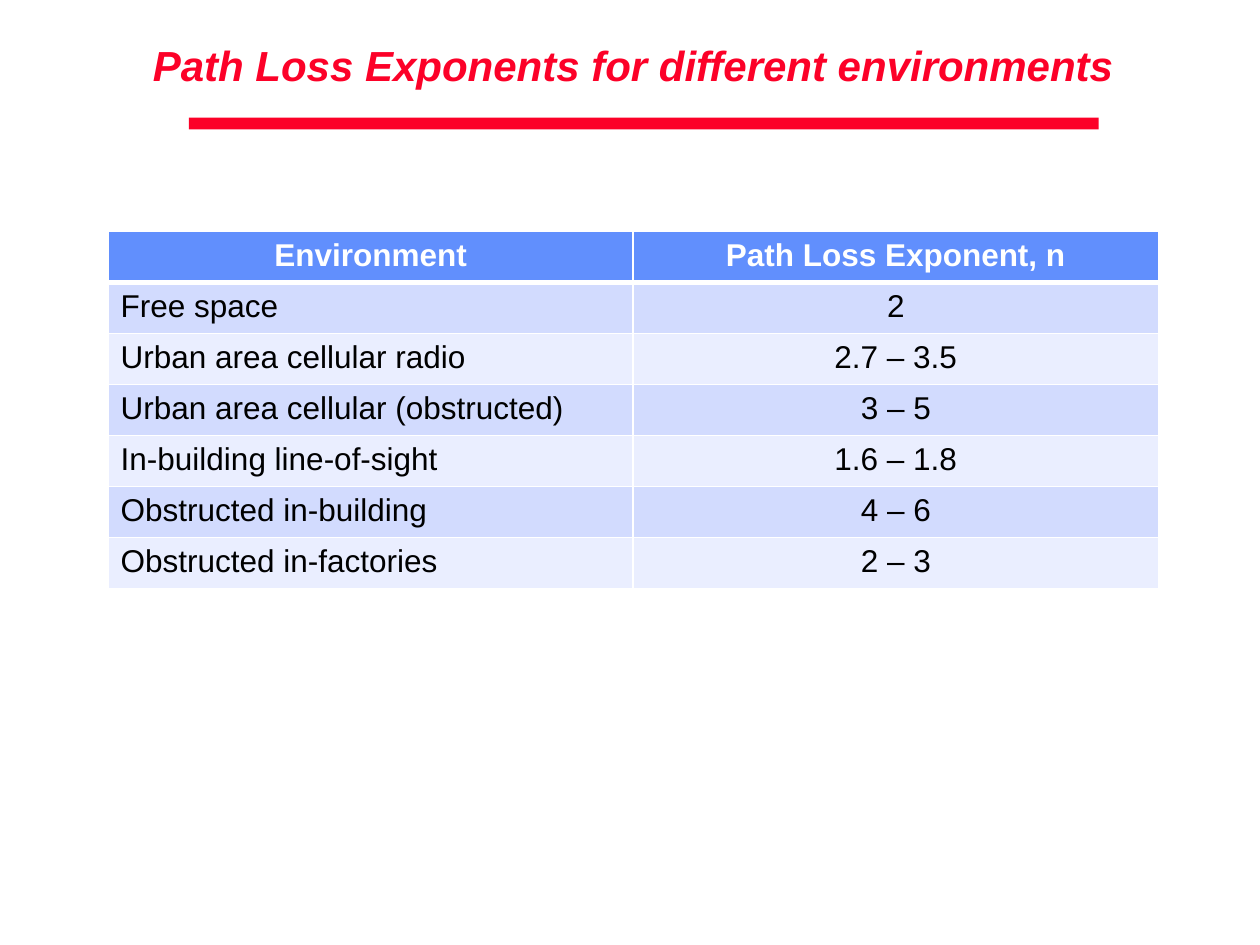
from dataclasses import dataclass

from lxml.etree import SubElement
from pptx import Presentation
from pptx.dml.color import RGBColor
from pptx.enum.shapes import MSO_SHAPE
from pptx.enum.text import MSO_ANCHOR, PP_ALIGN
from pptx.oxml.ns import qn
from pptx.util import Cm, Pt


@dataclass(frozen=True)
class Theme:
    font: str = "Arial"
    title_size: Pt = Pt(24)
    table_size: Pt = Pt(18)
    accent: RGBColor = RGBColor(0xFC, 0x01, 0x28)
    header: RGBColor = RGBColor(0x61, 0x8F, 0xFD)
    bands: tuple = (RGBColor(0xD2, 0xDB, 0xFE), RGBColor(0xEA, 0xEE, 0xFF))
    white: RGBColor = RGBColor(0xFF, 0xFF, 0xFF)
    black: RGBColor = RGBColor(0, 0, 0)


theme = Theme()


def style_font(font, size, color, bold=False, italic=False):
    font.name, font.size = theme.font, size
    font.bold, font.italic = bold, italic
    font.color.rgb = color


def add_borders(cell, widths):
    """Draw white borders; must run before the cell is filled."""
    properties = cell._tc.get_or_add_tcPr()
    for side, width in widths.items():
        line = SubElement(properties, qn(f"a:ln{side}"), w=str(Pt(width)))
        fill = SubElement(line, qn("a:solidFill"))
        SubElement(fill, qn("a:srgbClr"), val=str(theme.white))


presentation = Presentation()
presentation.slide_width = Cm(25.4)
presentation.slide_height = Cm(19.05)
slide = presentation.slides.add_slide(presentation.slide_layouts[6])

# Title and the rule below it
rule = slide.shapes.add_shape(
    MSO_SHAPE.RECTANGLE, Cm(3.81), Cm(2.37), Cm(18.34), Cm(0.24))
rule.shadow.inherit = False
rule.fill.solid()
rule.fill.fore_color.rgb = theme.accent
rule.line.fill.background()

title = slide.shapes.add_textbox(Cm(2.18), Cm(0.76), Cm(21.17), Cm(1.22))
title.text_frame.word_wrap = True
title.text_frame.vertical_anchor = MSO_ANCHOR.MIDDLE
heading = title.text_frame.paragraphs[0]
heading.text = "Path Loss Exponents for different environments"
heading.alignment = PP_ALIGN.CENTER
heading.line_spacing = 0.9
style_font(heading.font, theme.title_size, theme.accent, bold=True, italic=True)

# Table of exponents
exponents = [
    ("Environment", "Path Loss Exponent, n"),
    ("Free space", "2"),
    ("Urban area cellular radio", "2.7 – 3.5"),
    ("Urban area cellular (obstructed)", "3 – 5"),
    ("In-building line-of-sight", "1.6 – 1.8"),
    ("Obstructed in-building", "4 – 6"),
    ("Obstructed in-factories", "2 – 3"),
]
row_height = Cm(1.03)
table = slide.shapes.add_table(
    len(exponents), 2, Cm(2.18), Cm(4.66), Cm(21.17),
    row_height * len(exponents)).table

for row, values in enumerate(exponents):
    is_header = row == 0
    table.rows[row].height = row_height
    for column, value in enumerate(values):
        cell = table.cell(row, column)
        add_borders(cell, {"L": 1, "R": 1, "T": 3 if row == 1 else 1,
                           "B": 3 if is_header else 1})
        cell.fill.solid()
        cell.fill.fore_color.rgb = (
            theme.header if is_header else theme.bands[(row - 1) % 2])
        entry = cell.text_frame.paragraphs[0]
        entry.text = value
        entry.alignment = (
            PP_ALIGN.CENTER if is_header or column == 1 else PP_ALIGN.LEFT)
        style_font(entry.font, theme.table_size,
                   theme.white if is_header else theme.black, bold=is_header)

presentation.save("out.pptx")
